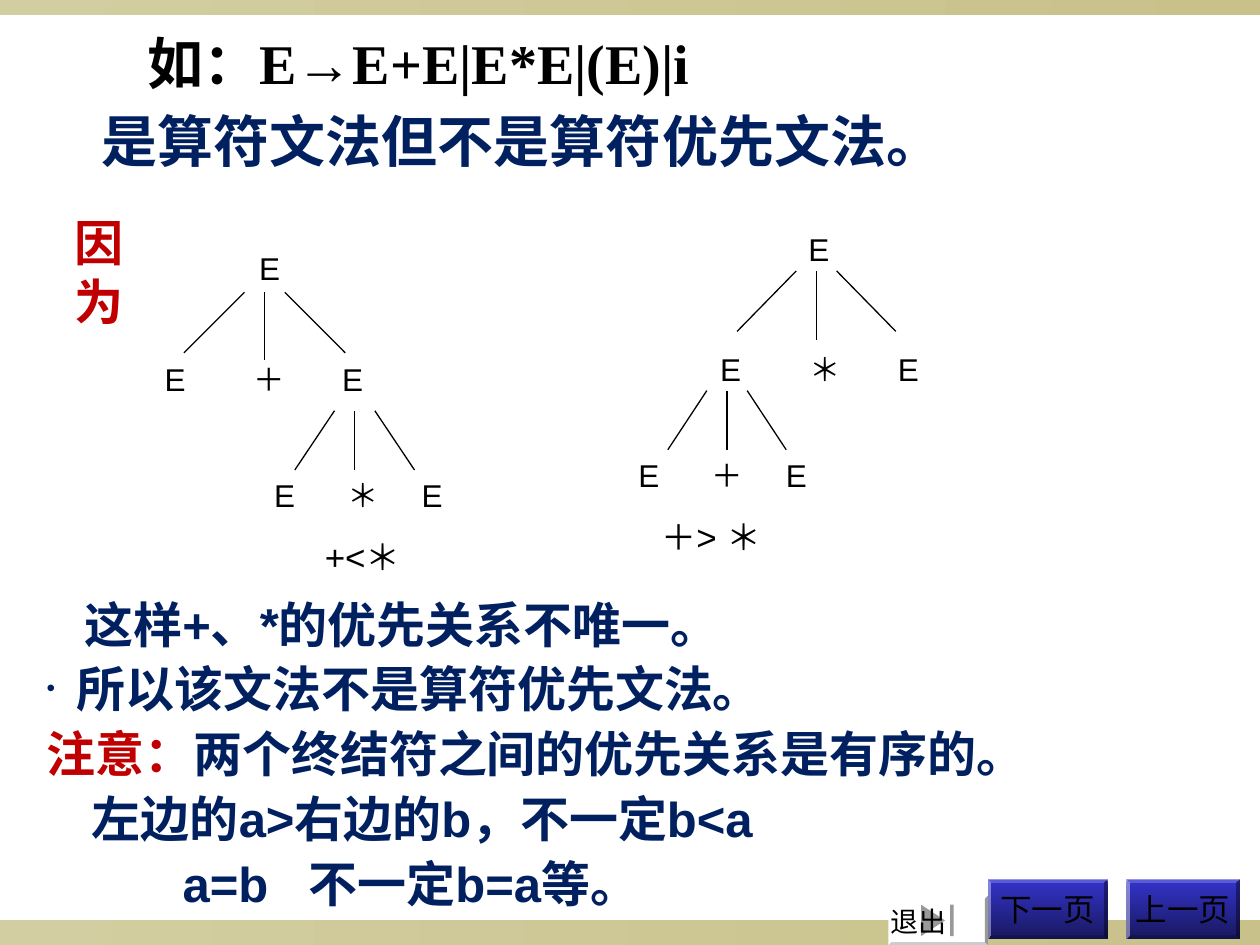
import pptx
import pptx.dml.color
import pptx.enum.shapes
import pptx.enum.text
import pptx.oxml.ns
import pptx.util
from lxml import etree

Inches = pptx.util.Inches
Pt = pptx.util.Pt
RGBColor = pptx.dml.color.RGBColor
MSO_SHAPE = pptx.enum.shapes.MSO_SHAPE
MSO_CONNECTOR = pptx.enum.shapes.MSO_CONNECTOR
MSO_ANCHOR = pptx.enum.text.MSO_ANCHOR
MSO_AUTO_SIZE = pptx.enum.text.MSO_AUTO_SIZE
PP_ALIGN = pptx.enum.text.PP_ALIGN
qn = pptx.oxml.ns.qn

BLACK = RGBColor(0x00, 0x00, 0x00)
WHITE = RGBColor(0xFF, 0xFF, 0xFF)
NAVY = RGBColor(0x00, 0x20, 0x60)
RED = RGBColor(0xC0, 0x00, 0x00)
GREY = RGBColor(0x99, 0x99, 0x99)
SAND_LIGHT = RGBColor(0xD3, 0xCE, 0xA1)
SAND_DARK = RGBColor(0xC8, 0xC1, 0x8A)
BUTTON_TOP = RGBColor(0x33, 0x33, 0xCC)
BUTTON_BOTTOM = RGBColor(0x18, 0x18, 0x5E)


def place(item, box):
    item.left, item.top, item.width, item.height = map(Inches, box)


def format_runs(paragraph, size, color, bold=False, font="Arial"):
    for run in paragraph.runs:
        run.font.size = Pt(size)
        run.font.color.rgb = color
        run.font.bold = bold
        run.font.name = font


def add_label(slide, box, text, size, color=BLACK, bold=False,
              font="Arial", align=PP_ALIGN.LEFT):
    label = slide.shapes.add_textbox(*map(Inches, box))
    label.text_frame.word_wrap = False
    label.text_frame.text = text
    paragraph = label.text_frame.paragraphs[0]
    paragraph.alignment = align
    format_runs(paragraph, size, color, bold, font)


def add_block(slide, preset, box, colors, angle=0):
    block = slide.shapes.add_shape(preset, *map(Inches, box))
    block.shadow.inherit = False
    block.line.fill.background()
    if len(colors) == 1:
        block.fill.solid()
        block.fill.fore_color.rgb = colors[0]
    else:
        block.fill.gradient()
        block.fill.gradient_angle = angle
        for stop, color in zip(block.fill.gradient_stops, colors):
            stop.color.rgb = color
    return block


def add_bands(slide):
    for top, height in ((7.3, 0.2), (0, 0.12)):
        add_block(slide, MSO_SHAPE.RECTANGLE, (0, top, 10, height),
                  (SAND_LIGHT, SAND_DARK))


def add_exit(slide, box):
    left, top, width, height = box
    button = add_block(slide, MSO_SHAPE.BEVEL, box, (WHITE,))
    button.adjustments[0] = 0.06
    arrow = add_block(slide, MSO_SHAPE.ISOSCELES_TRIANGLE,
                      (left + 0.23, top + 0.1, 0.25, 0.19), (GREY,))
    arrow.rotation = 90
    add_block(slide, MSO_SHAPE.RECTANGLE,
              (left + 0.49, top + 0.07, 0.03, 0.25), (GREY,))
    add_label(slide, (left - 0.08, top + 0.02, 0.71, 0.37), "退出", 16)


def add_page_button(slide, box, caption):
    button = add_block(slide, MSO_SHAPE.BEVEL, box,
                       (BUTTON_TOP, BUTTON_BOTTOM), 270)
    button.adjustments[0] = 0.06
    button.text_frame.word_wrap = False
    button.text_frame.vertical_anchor = MSO_ANCHOR.MIDDLE
    button.text_frame.text = caption
    paragraph = button.text_frame.paragraphs[0]
    paragraph.alignment = PP_ALIGN.CENTER
    format_runs(paragraph, 18, BLACK)


def add_line(slide, start, end):
    line = slide.shapes.add_connector(
        MSO_CONNECTOR.STRAIGHT, *map(Inches, start + end))
    line.line.color.rgb = BLACK
    line.line.width = Pt(0.75)
    etree.SubElement(line._element.spPr, qn("a:effectLst"))


def add_node(slide, center, top, symbol):
    add_label(slide, (center - 0.25, top, 0.5, 0.4), symbol, 18,
              align=PP_ALIGN.CENTER)


def add_branch(slide, box, stem, first_child, steps, children_top, operator):
    left, top, width, height = box
    middle = left + width / 2
    for side in (-1, 1):
        add_line(slide, (middle + side * 0.16, top),
                 (middle + side * width / 2, top + height))
    add_line(slide, (middle, top), (middle, top + stem))
    center = first_child
    for symbol, step in zip(("E", operator, "E"), (0,) + steps):
        center += step
        add_node(slide, center, children_top, symbol)


def add_trees(slide):
    wide, narrow = (0.75, 0.66), (0.62, 0.55)
    add_node(slide, 2.14, 1.93, "E")
    add_branch(slide, (1.46, 2.32, 1.28, 0.48), 0.54, 1.39, wide, 2.81, "＋")
    add_branch(slide, (2.34, 3.26, 0.95, 0.47), 0.47, 2.26, narrow, 3.73, "＊")
    add_label(slide, (2.48, 4.2, 0.93, 0.44), "+<＊", 20)
    add_node(slide, 6.5, 1.78, "E")
    add_branch(slide, (5.85, 2.15, 1.26, 0.48), 0.55, 5.8, wide, 2.73, "＊")
    add_branch(slide, (5.3, 3.1, 0.94, 0.47), 0.47, 5.15, narrow, 3.57, "＋")
    add_label(slide, (5.15, 4.04, 1.19, 0.44), "＋> ＊", 20)


def add_heading(slide, box):
    title = slide.shapes.title
    place(title, box)
    frame = title.text_frame
    frame.text = "如：E→E+E|E*E|(E)|i"
    frame.word_wrap = False
    frame.auto_size = MSO_AUTO_SIZE.NONE
    frame.vertical_anchor = MSO_ANCHOR.TOP
    frame.paragraphs[0].alignment = PP_ALIGN.LEFT
    format_runs(frame.paragraphs[0], 32, BLACK, True, "Times New Roman")


def set_indent(paragraph, margin, indent, bullet, tab):
    properties = paragraph._p.get_or_add_pPr()
    properties.set("marL", str(Inches(margin)))
    properties.set("indent", str(Inches(indent)))
    if bullet:
        color = etree.SubElement(properties, qn("a:buClr"))
        etree.SubElement(color, qn("a:srgbClr"), val=str(NAVY))
        etree.SubElement(properties, qn("a:buSzPct"), val="50000")
        etree.SubElement(properties, qn("a:buChar"), char="•")
    else:
        etree.SubElement(properties, qn("a:buNone"))
    if tab:
        tabs = etree.SubElement(properties, qn("a:tabLst"))
        etree.SubElement(tabs, qn("a:tab"), pos=str(Inches(tab)), algn="l")


def add_conclusions(slide, box):
    conclusions = slide.placeholders[1]
    place(conclusions, box)
    frame = conclusions.text_frame
    frame.word_wrap = True
    frame.auto_size = MSO_AUTO_SIZE.NONE
    lines = (
        (("这样+、*的优先关系不唯一。",), 0.3, 0, False, None),
        (("所以该文法不是算符优先文法。",), 0.24, -0.24, True, None),
        (("注意：", "两个终结符之间的优先关系是有序的。"), 0, 0, False, None),
        (("左边的a>右边的b，不一定b<a",), 0.36, 0, False, None),
        (("a=b\t不一定b=a等。",), 1.08, 0, False, 2.84),
    )
    for number, (parts, margin, indent, bullet, tab) in enumerate(lines):
        paragraph = frame.add_paragraph() if number else frame.paragraphs[0]
        for part in parts:
            paragraph.add_run().text = part
        paragraph.line_spacing = 1.1
        paragraph.space_before = Pt(0)
        set_indent(paragraph, margin, indent, bullet, tab)
        format_runs(paragraph, 28, NAVY, True)
        if len(parts) > 1:
            paragraph.runs[0].font.color.rgb = RED


def main():
    deck = pptx.Presentation()
    deck.slide_width, deck.slide_height = Inches(10), Inches(7.5)
    slide = deck.slides.add_slide(deck.slide_layouts[1])
    add_bands(slide)
    add_exit(slide, (7.05, 7.11, 0.79, 0.39))
    add_heading(slide, (1.07, 0.18, 5.05, 0.64))
    add_label(slide, (0.71, 0.8, 6.87, 0.64),
              "是算符文法但不是算符优先文法。", 32, NAVY, True,
              "Times New Roman")
    add_trees(slide)
    add_conclusions(slide, (0.27, 4.62, 8.11, 2.67))
    add_page_button(slide, (7.84, 6.98, 0.95, 0.47), "下一页")
    add_page_button(slide, (8.94, 6.98, 0.9, 0.47), "上一页")
    add_label(slide, (0.49, 1.64, 0.97, 0.57), "因为", 28, RED, True)
    deck.save("out.pptx")


if __name__ == "__main__":
    main()
